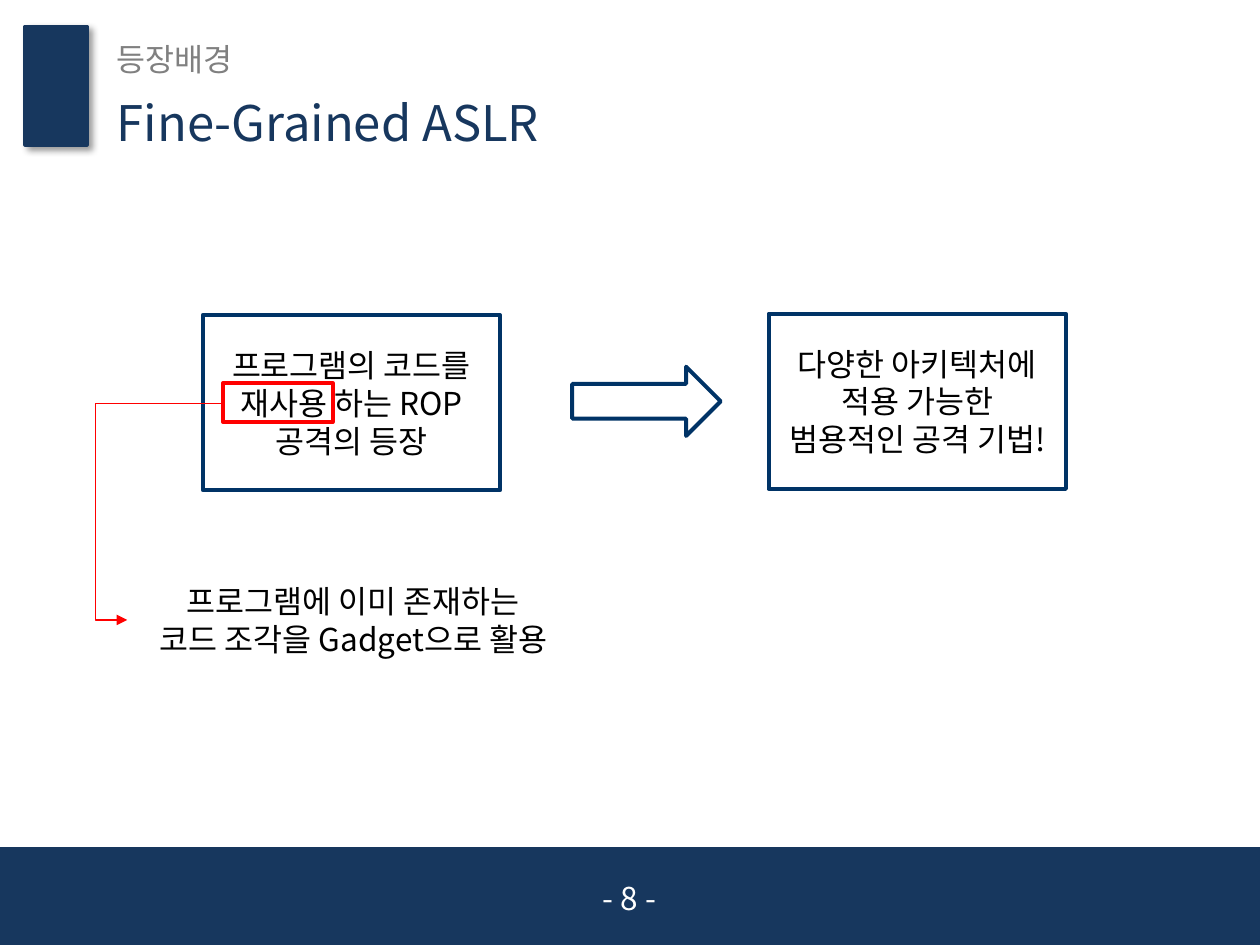
from lxml import etree
from pptx import Presentation
from pptx.dml.color import RGBColor
from pptx.enum.shapes import MSO_CONNECTOR as Connector, MSO_SHAPE as Shape
from pptx.enum.text import MSO_ANCHOR as Anchor, PP_ALIGN as Align
from pptx.oxml import parse_xml
from pptx.oxml.ns import nsdecls, qn
from pptx.util import Inches, Pt

FONT = "Noto Sans CJK KR"
NAVY, BORDER, RED = "17375E", "003366", "FF0000"


def color(value):
    return RGBColor.from_string(value)


def write(box, text, size=18, ink="000000", align=Align.CENTER, anchor=Anchor.MIDDLE, wrap=True):
    frame = box.text_frame
    frame.word_wrap = wrap
    frame.vertical_anchor = anchor
    for index, line in enumerate(text.split("\n")):
        para = frame.add_paragraph() if index else frame.paragraphs[0]
        para.alignment = align
        span = para.add_run()
        span.text = line
        span.font.size = Pt(size)
        span.font.name = FONT
        span.font.color.rgb = color(ink)
        east_asian = etree.SubElement(span.font._element, qn("a:ea"))
        east_asian.set("typeface", FONT)


deck = Presentation()
deck.slide_width, deck.slide_height = Inches(10), Inches(7.5)
page = deck.slides.add_slide(deck.slide_layouts[6])

# Footer band, title marker, flow boxes, arrow and highlight
shapes = []
for preset, place, fill, line, width in [
    (Shape.RECTANGLE, (0, 6.74, 10, 0.78), NAVY, NAVY, 2),
    (Shape.RECTANGLE, (0.2, 0.21, 0.49, 0.94), NAVY, NAVY, 2),
    (Shape.RECTANGLE, (1.61, 2.5, 2.36, 1.39), None, BORDER, 2.25),
    (Shape.RECTANGLE, (6.1, 2.49, 2.36, 1.39), None, BORDER, 2.25),
    (Shape.RIGHT_ARROW, (4.54, 2.91, 1.18, 0.55), None, BORDER, 2.25),
    (Shape.RECTANGLE, (1.77, 3.04, 0.87, 0.31), None, RED, 2.25),
]:
    shape = page.shapes.add_shape(preset, *map(Inches, place))
    shape.shadow.inherit = False
    if fill:
        shape.fill.solid()
        shape.fill.fore_color.rgb = color(fill)
    else:
        shape.fill.background()
    shape.line.color.rgb = color(line)
    shape.line.width = Pt(width)
    shapes.append(shape)
footer, marker, cause_box, effect_box, arrow, highlight = shapes

# Soft shadow on the title marker
effects = marker._element.spPr.find(qn("a:effectLst"))
effects.append(parse_xml(
    f'<a:outerShdw {nsdecls("a")} blurRad="{Pt(4)}" dist="{Pt(3)}" dir="2700000" algn="tl" '
    'rotWithShape="0"><a:srgbClr val="000000"><a:alpha val="40000"/></a:srgbClr></a:outerShdw>'))

# Flow box wording
write(cause_box, "프로그램의 코드를\n재사용 하는 ROP공격의 등장")
write(effect_box, "다양한 아키텍처에 적용 가능한 범용적인 공격 기법!")

# Page number, headings and explanation
for place, text, style in [
    ((3.83, 6.93, 2.33, 0.4), "- 8 -", dict(ink="FFFFFF")),
    ((0.83, 0.22, 7.48, 0.5), "등장배경", dict(ink="808080", align=Align.LEFT)),
    ((0.83, 0.72, 7.48, 0.5), "Fine-Grained ASLR", dict(size=28, ink=NAVY, align=Align.LEFT)),
    ((1.01, 4.57, 3.59, 0.71), "프로그램에 이미 존재하는\n코드 조각을 Gadget으로 활용",
     dict(anchor=Anchor.TOP, wrap=False)),
]:
    write(page.shapes.add_textbox(*map(Inches, place)), text, **style)

# Elbow arrow from the highlight to the explanation
elbow = page.shapes.add_connector(
    Connector.ELBOW, Inches(1.77), Inches(3.2), Inches(1.01), Inches(4.92))
elbow.line.color.rgb = color(RED)
elbow.line.width = Pt(0.75)
etree.SubElement(elbow.line._get_or_add_ln(), qn("a:tailEnd")).set("type", "triangle")
properties = elbow._element.spPr
etree.SubElement(properties, qn("a:effectLst"))
bend = etree.SubElement(properties.find(qn("a:prstGeom")).find(qn("a:avLst")), qn("a:gd"))
bend.set("name", "adj1")
bend.set("fmla", "val 133000")

deck.save("out.pptx")
